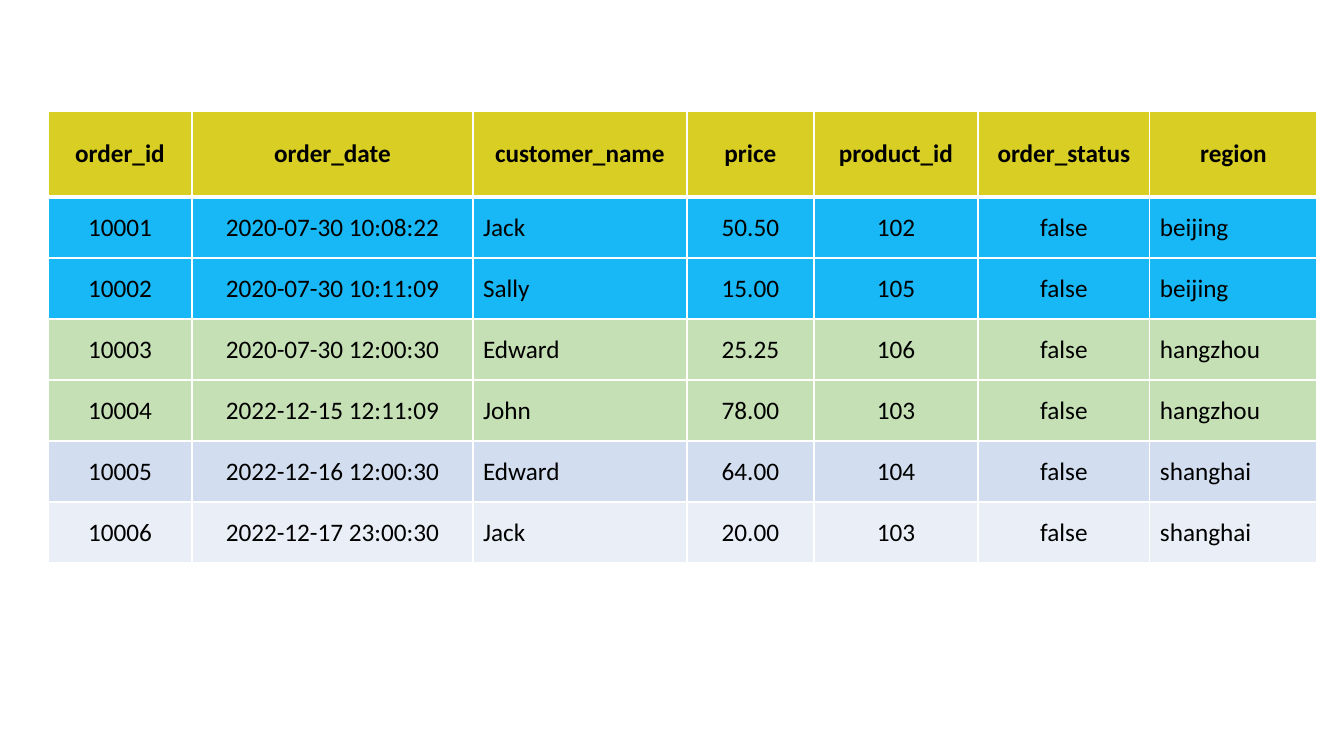
"""Build a slide with an order table whose rows are coloured by region."""
from dataclasses import dataclass

from lxml.etree import SubElement
from pptx import Presentation
from pptx.dml.color import RGBColor
from pptx.enum.text import MSO_ANCHOR, PP_ALIGN
from pptx.oxml.ns import qn
from pptx.util import Pt


@dataclass(frozen=True)
class Theme:
    font: str = "Calibri"
    size: int = 18
    text: str = "000000"
    border: str = "FFFFFF"
    header: str = "D9CE24"
    beijing: str = "18B8F6"
    hangzhou: str = "C5E0B4"
    band_dark: str = "D2DEEF"
    band_light: str = "EAEFF7"
    thin: int = 1
    thick: int = 3


THEME = Theme()
EMU_PER_PX = 914400 / 100.8


def px(n):
    return round(n * EMU_PER_PX)


def add_border(cell, side, width):
    ln = SubElement(cell._tc.get_or_add_tcPr(), qn(f"a:ln{side}"), w=str(Pt(width)))
    fill = SubElement(ln, qn("a:solidFill"))
    SubElement(fill, qn("a:srgbClr"), val=THEME.border)


COLUMNS = [
    ("order_id", 144),
    ("order_date", 281),
    ("customer_name", 214),
    ("price", 127),
    ("product_id", 164),
    ("order_status", 172),
    ("region", 167),
]
LEFT_ALIGNED = {"customer_name", "region"}
ORDERS = [
    ("10001", "2020-07-30 10:08:22", "Jack", "50.50", "102", "false", "beijing"),
    ("10002", "2020-07-30 10:11:09", "Sally", "15.00", "105", "false", "beijing"),
    ("10003", "2020-07-30 12:00:30", "Edward", "25.25", "106", "false", "hangzhou"),
    ("10004", "2022-12-15 12:11:09", "John", "78.00", "103", "false", "hangzhou"),
    ("10005", "2022-12-16 12:00:30", "Edward", "64.00", "104", "false", "shanghai"),
    ("10006", "2022-12-17 23:00:30", "Jack", "20.00", "103", "false", "shanghai"),
]
ROW_FILLS = [
    THEME.header,
    THEME.beijing,
    THEME.beijing,
    THEME.hangzhou,
    THEME.hangzhou,
    THEME.band_dark,
    THEME.band_light,
]
LEFT, TOP = 48, 111
HEADER_HEIGHT, ROW_HEIGHT = 86, 61

prs = Presentation()
prs.slide_width, prs.slide_height = px(1344), px(756)
slide = prs.slides.add_slide(prs.slide_layouts[6])

names = [name for name, _ in COLUMNS]
rows = [names, *ORDERS]
width = sum(w for _, w in COLUMNS)
height = HEADER_HEIGHT + ROW_HEIGHT * len(ORDERS)
table = slide.shapes.add_table(
    len(rows), len(COLUMNS), px(LEFT), px(TOP), px(width), px(height)
).table

for column, (_, w) in zip(table.columns, COLUMNS):
    column.width = px(w)

for i, (values, color) in enumerate(zip(rows, ROW_FILLS)):
    is_header = i == 0
    table.rows[i].height = px(HEADER_HEIGHT if is_header else ROW_HEIGHT)
    for j, (name, value) in enumerate(zip(names, values)):
        cell = table.cell(i, j)
        cell.vertical_anchor = MSO_ANCHOR.MIDDLE
        for side in "LRTB":
            under_header = (i, side) in {(0, "B"), (1, "T")}
            add_border(cell, side, THEME.thick if under_header else THEME.thin)
        cell.fill.solid()
        cell.fill.fore_color.rgb = RGBColor.from_string(color)
        p = cell.text_frame.paragraphs[0]
        p.text = value
        left_aligned = name in LEFT_ALIGNED and not is_header
        p.alignment = PP_ALIGN.LEFT if left_aligned else PP_ALIGN.CENTER
        font = p.runs[0].font
        font.name = THEME.font
        font.size = Pt(THEME.size)
        font.bold = is_header
        font.color.rgb = RGBColor.from_string(THEME.text)

prs.save("out.pptx")
